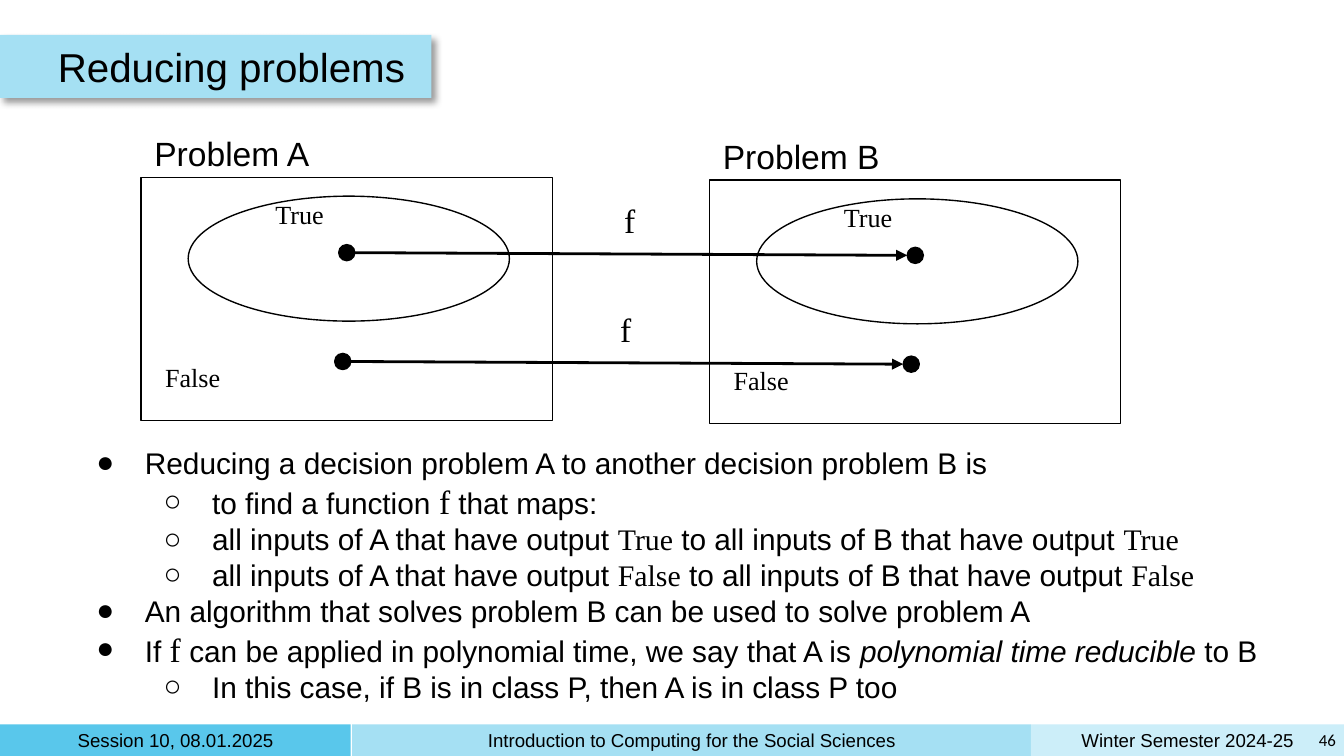
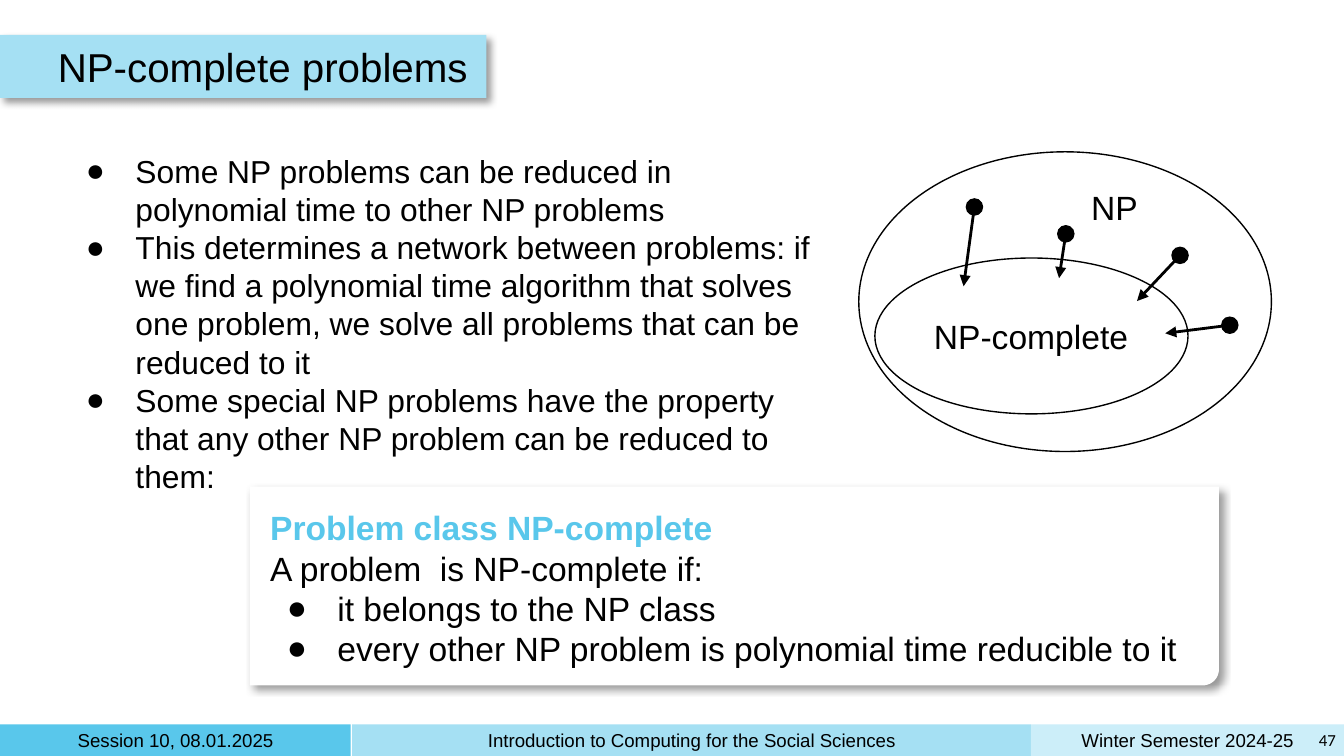
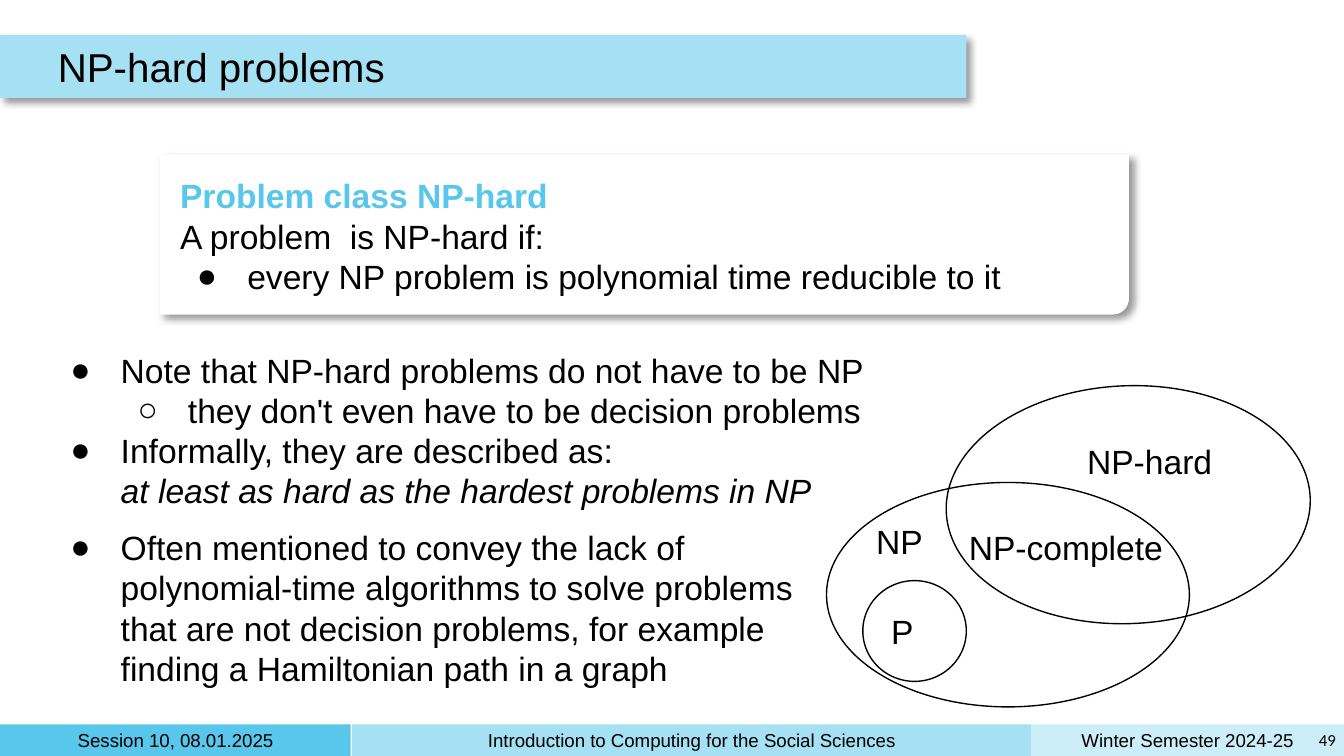
from dataclasses import dataclass
from math import cos, pi, sin

from lxml.etree import SubElement
from pptx import Presentation
from pptx.dml.color import RGBColor
from pptx.enum.shapes import MSO_CONNECTOR, MSO_SHAPE
from pptx.enum.text import MSO_ANCHOR, PP_ALIGN
from pptx.oxml.ns import qn
from pptx.util import Inches, Pt

WIDTH, HEIGHT = Inches(10), Inches(5.625)
CELL = WIDTH // 100
BLACK = RGBColor(0x00, 0x00, 0x00)
WHITE = RGBColor(0xFF, 0xFF, 0xFF)
DEEP = RGBColor(0x59, 0xC7, 0xEB)
MID = RGBColor(0xA5, 0xE0, 0xF3)
PALE = RGBColor(0xCC, 0xEE, 0xF9)
SANS, SERIF, PLAIN = "Arial", "Times New Roman", "Calibri"
MARKS = {1: "●", 2: "○"}
DOT = 1.2
BREAK = None


@dataclass
class Box:
    """A region in grid cells, each a hundredth of the slide's width."""
    x: float
    y: float
    w: float
    h: float

    def sub(self, x, y, w, h):
        """Return a region placed from this one's top left corner."""
        return Box(self.x + x, self.y + y, w, h)

    def emu(self):
        """Return left, top, width and height in EMU."""
        return [cells(n) for n in (self.x, self.y, self.w, self.h)]


@dataclass
class Run:
    """A stretch of text in one style."""
    text: str
    size: float = 18
    face: str = SANS
    color: RGBColor = BLACK
    bold: bool = False
    slant: bool = False


@dataclass
class Para:
    """A paragraph: level 0 is plain, 1 and 2 have bullets."""
    runs: list
    level: int = 0
    space: float = 1


def cells(count):
    """Turn grid cells into EMU."""
    return round(count * CELL)


def bullet(para, level, size):
    """Hang a bullet before the paragraph."""
    props = para._p.get_or_add_pPr()
    props.set("marL", str(Inches(0.5 * level)))
    props.set("indent", str(-Pt(18 + size / 2)))
    tint = SubElement(props, qn("a:buClr"))
    SubElement(tint, qn("a:srgbClr"), val=str(BLACK))
    SubElement(props, qn("a:buFont"), typeface=SANS)
    SubElement(props, qn("a:buChar"), char=MARKS[level])


def write(shape, paras, pad=1, right=0, anchor=MSO_ANCHOR.TOP, align=PP_ALIGN.LEFT):
    """Fill a shape with paragraphs, run by run."""
    frame = shape.text_frame
    frame.word_wrap = True
    frame.vertical_anchor = anchor
    frame.margin_left = frame.margin_top = frame.margin_bottom = cells(pad)
    frame.margin_right = cells(right)
    for i, item in enumerate(paras):
        para = frame.add_paragraph() if i else frame.paragraphs[0]
        para.alignment = align
        if item.level:
            bullet(para, item.level, item.runs[0].size)
        if item.space != 1:
            para.line_spacing = item.space
        for part in item.runs:
            if part is BREAK:
                para.add_line_break()
                continue
            run = para.add_run()
            run.text = part.text
            font = run.font
            font.size, font.name = Pt(part.size), part.face
            font.bold, font.italic = part.bold, part.slant
            font.color.rgb = part.color


def text(slide, box, paras, **style):
    """Add a text box."""
    write(slide.shapes.add_textbox(*box.emu()), paras, **style)


def label(slide, box, words, **style):
    """Add a text box of one run."""
    text(slide, box, [Para([Run(words, **style)])])


def paint(shape, fill=None, line=False, shade=False):
    """Set a shape's fill, outline and shadow."""
    shape.shadow.inherit = False
    if fill is None:
        shape.fill.background()
    else:
        shape.fill.solid()
        shape.fill.fore_color.rgb = fill
    if line:
        shape.line.color.rgb = BLACK
        shape.line.width = Pt(0.75)
    else:
        shape.line.fill.background()
    if shade:
        effects = shape._element.spPr.find(qn("a:effectLst"))
        cast = SubElement(effects, qn("a:outerShdw"), blurRad=str(Pt(4)),
                          dist=str(Pt(3)), dir="2700000", algn="bl", rotWithShape="0")
        tint = SubElement(cast, qn("a:srgbClr"), val=str(BLACK))
        SubElement(tint, qn("a:alpha"), val="40000")


def form(slide, kind, box, **style):
    """Add a painted preset shape."""
    shape = slide.shapes.add_shape(kind, *box.emu())
    paint(shape, **style)
    return shape


def oval(slide, box, words=None, turn=0):
    """Add an outlined set, with its name inside if given."""
    shape = form(slide, MSO_SHAPE.OVAL, box, line=True)
    shape.rotation = turn
    if words:
        write(shape, [Para([Run(words)])], anchor=MSO_ANCHOR.MIDDLE)


def dot(slide, box):
    """Add a black point."""
    form(slide, MSO_SHAPE.OVAL, box, fill=BLACK, line=True)


def arrow(slide, start, end):
    """Draw an arrow between two points in cells."""
    ends = [cells(n) for n in (*start, *end)]
    line = slide.shapes.add_connector(MSO_CONNECTOR.STRAIGHT, *ends)
    line.line.color.rgb = BLACK
    line.line.width = Pt(1.5)
    SubElement(line.line._get_or_add_ln(), qn("a:tailEnd"), type="triangle")
    SubElement(line._element.spPr, qn("a:effectLst"))


def footer(slide, box, page):
    """Draw the three bands and the page number."""
    bands = [("Session 10, 08.01.2025", DEEP, 0, 26.1),
             ("Introduction to Computing for the Social Sciences", MID, 26.2, 50.5),
             ("Winter Semester 2024-25", PALE, 76.7, 23.3)]
    for words, fill, x, w in bands:
        band = form(slide, MSO_SHAPE.RECTANGLE, box.sub(x, 0, w, box.h), fill=fill)
        write(band, [Para([Run(words, 10)])], pad=0.5, right=0.5,
              anchor=MSO_ANCHOR.MIDDLE, align=PP_ALIGN.CENTER)
    text(slide, box.sub(97.2, -0.1, 2.7, 2.5), [Para([Run(page, 9, PLAIN)])],
         pad=0.5, right=0.5, anchor=MSO_ANCHOR.MIDDLE, align=PP_ALIGN.RIGHT)


def header(slide, box, words):
    """Draw the title on its shaded band."""
    band = form(slide, MSO_SHAPE.RECTANGLE, box, fill=MID, shade=True)
    write(band, [Para([Run(words, 21.6)])], pad=0.5, anchor=MSO_ANCHOR.MIDDLE)
    band.text_frame.margin_left = cells(4.3)


def start(deck, words, wide, page):
    """Add a slide with its title and footer."""
    slide = deck.slides.add_slide(deck.slide_layouts[6])
    footer(slide, Box(0, 53.9, 100, 2.4), page)
    header(slide, Box(0, 2.6, wide, 4.7), words)
    return slide


def card(slide, box, name, rules):
    """Define a problem class on a card with one round corner."""
    bend = 1.2
    arc = [(box.x + box.w - bend + bend * cos(i * pi / 24),
            box.y + box.h - bend + bend * sin(i * pi / 24)) for i in range(13)]
    edge = [(box.x + box.w, box.y), *arc, (box.x, box.y + box.h)]
    pen = slide.shapes.build_freeform(cells(box.x), cells(box.y))
    pen.add_line_segments([(cells(x), cells(y)) for x, y in edge], close=True)
    paint(pen.convert_to_shape(), fill=WHITE, shade=True)
    paras = [Para([Run(f"Problem class {name}", color=DEEP, bold=True)], space=1.15),
             Para([Run(f"A problem  is {name} if:")])]
    paras += [Para([Run(rule)], 1) for rule in rules]
    text(slide, box.sub(1, 0.6, box.w - 1.2, box.h - 1.2), paras, pad=0.5)


def problem(slide, box, name):
    """Draw a problem's inputs and return the boxes of its two points."""
    form(slide, MSO_SHAPE.RECTANGLE, box, line=True)
    oval(slide, box.sub(3.5, 1.4, 23.9, 9.3))
    label(slide, box.sub(0, -4.3, 15.2, 5), name)
    label(slide, box.sub(9, 0.6, 7.1, 4.4), "True", size=14, face=SERIF)
    label(slide, box.sub(0.8, 12.7, 7.1, 4.4), "False", size=14, face=SERIF)
    dots = [box.sub(14.7, 5, DOT, DOT), box.sub(14.4, 13.1, DOT, DOT)]
    for spot in dots:
        dot(slide, spot)
    return dots


def mapping(slide, box):
    """Map the points of problem A to those of problem B."""
    left = problem(slide, box.sub(0, 0, 30.6, 18.1), "Problem A")
    right = problem(slide, box.sub(42.3, 0.2, 30.6, 18.1), "Problem B")
    for a, b in zip(left, right):
        arrow(slide, (a.x + DOT, a.y + DOT / 2), (b.x, b.y + DOT / 2))
        label(slide, Box((a.x + DOT + b.x) / 2 - 1.5, a.y - 4.3, 3.1, 5), "f", face=SERIF)


def network(slide, box):
    """Show NP problems reduced to the NP-complete ones."""
    oval(slide, box)
    oval(slide, box.sub(1.2, 7.9, 23.3, 11.6), "NP-complete")
    label(slide, box.sub(16.3, 1.6, 6.5, 5), "NP")
    links = [((8, 3.5), (7.8, 10)), ((14.8, 5.5), (14.9, 9.4)),
             ((23.3, 7.1), (20.7, 11.1)), ((27, 12.3), (22.8, 13.5))]
    for (x, y), (tox, toy) in links:
        spot = box.sub(x, y, DOT, DOT)
        arrow(slide, (spot.x + DOT / 2, spot.y + DOT / 2), (box.x + tox, box.y + toy))
        dot(slide, spot)


def classes(slide, box):
    """Show how the problem classes overlap."""
    oval(slide, box.sub(13.6, 0, 17.7, 27.1), turn=267.8)
    oval(slide, box.sub(0, 11.9, 27, 16.7))
    oval(slide, box.sub(2.7, 19.2, 7.7, 7.5), "P")
    label(slide, box.sub(2.7, 13.8, 6.5, 5), "NP")
    label(slide, box.sub(18.4, 7.8, 12.1, 5), "NP-hard")
    label(slide, box.sub(9.6, 14.2, 16.5, 5), "NP-complete")


def same(value):
    """Say that inputs with this output map to each other."""
    runs = []
    for lead in ("all inputs of A that have output ", " to all inputs of B that have output "):
        runs += [Run(lead, 16), Run(value, 16, SERIF)]
    return Para(runs, 2)


def reduce(deck):
    """Build the slide on reducing problems."""
    slide = start(deck, "Reducing problems", 32.1, "46")
    mapping(slide, Box(10.5, 13.2, 72.9, 18.3))
    text(slide, Box(4.8, 32.1, 90.5, 21.5), [
        Para([Run("Reducing a decision problem A to another decision problem B is", 16)], 1),
        Para([Run("to find a function ", 16), Run("f", face=SERIF), Run(" that maps:", 16)], 2),
        same("True"),
        same("False"),
        Para([Run("An algorithm that solves problem B can be used to solve problem A", 16)], 1),
        Para([Run("If ", 16), Run("f ", face=SERIF),
              Run("can be applied in polynomial time, we say that A is ", 16),
              Run("polynomial time reducible", 16, slant=True), Run(" to B", 16)], 1),
        Para([Run("In this case, if B is in class P, then A is in class P too", 16)], 2)])


def complete(deck):
    """Build the slide on NP-complete problems."""
    slide = start(deck, "NP-complete problems", 36.2, "47")
    points = ["Some NP problems can be reduced in polynomial time to other NP problems",
              "This determines a network between problems: if we find a polynomial time "
              "algorithm that solves one problem, we solve all problems that can be "
              "reduced to it",
              "Some special NP problems have the property that any other NP problem can "
              "be reduced to them:"]
    text(slide, Box(4.1, 10.3, 57.3, 27.8), [Para([Run(point, 17)], 1) for point in points])
    card(slide, Box(18.6, 36.2, 72.1, 14.8), "NP-complete",
         ["it belongs to the NP class",
          "every other NP problem is polynomial time reducible to it"])
    network(slide, Box(63.9, 11.3, 30.7, 22.3))


def hard(deck):
    """Build the slide on NP-hard problems."""
    slide = start(deck, "NP-hard problems", 71.9, "49")
    card(slide, Box(11.9, 11.5, 72.1, 11.9), "NP-hard",
         ["every NP problem is polynomial time reducible to it"])
    text(slide, Box(3, 25, 63.9, 14.1), [
        Para([Run("Note that NP-hard problems do not have to be NP")], 1),
        Para([Run("they don't even have to be decision problems")], 2),
        Para([Run("Informally, they are described as: "), BREAK,
              Run("at least as hard as the hardest problems in NP", slant=True)], 1)])
    classes(slide, Box(61.5, 24, 36, 28.6))
    text(slide, Box(3, 38.2, 59.7, 14.1), [
        Para([Run("Often mentioned to convey the lack of polynomial-time algorithms to "
                  "solve problems that are not decision problems, for example finding a "
                  "Hamiltonian path in a graph")], 1)])


def main():
    """Build and save the deck."""
    deck = Presentation()
    deck.slide_width, deck.slide_height = WIDTH, HEIGHT
    for build in (reduce, complete, hard):
        build(deck)
    deck.save("out.pptx")


if __name__ == "__main__":
    main()
